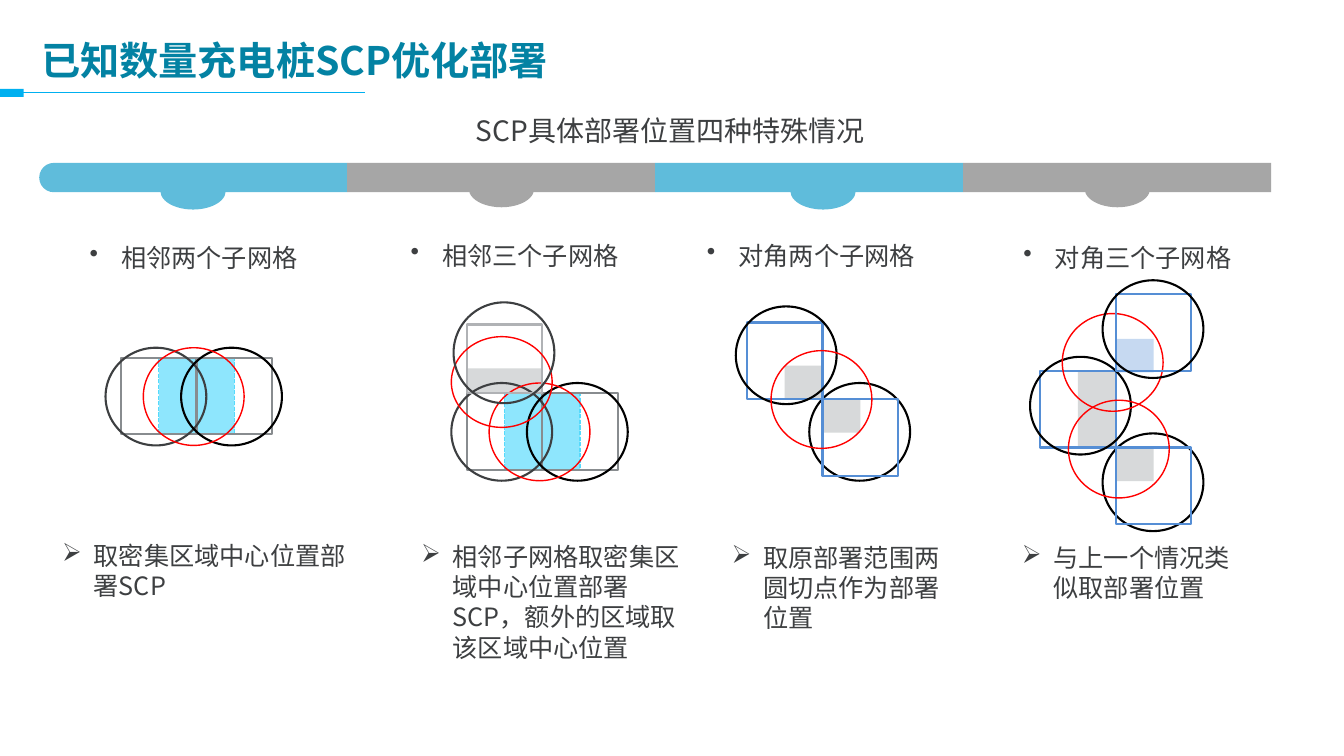
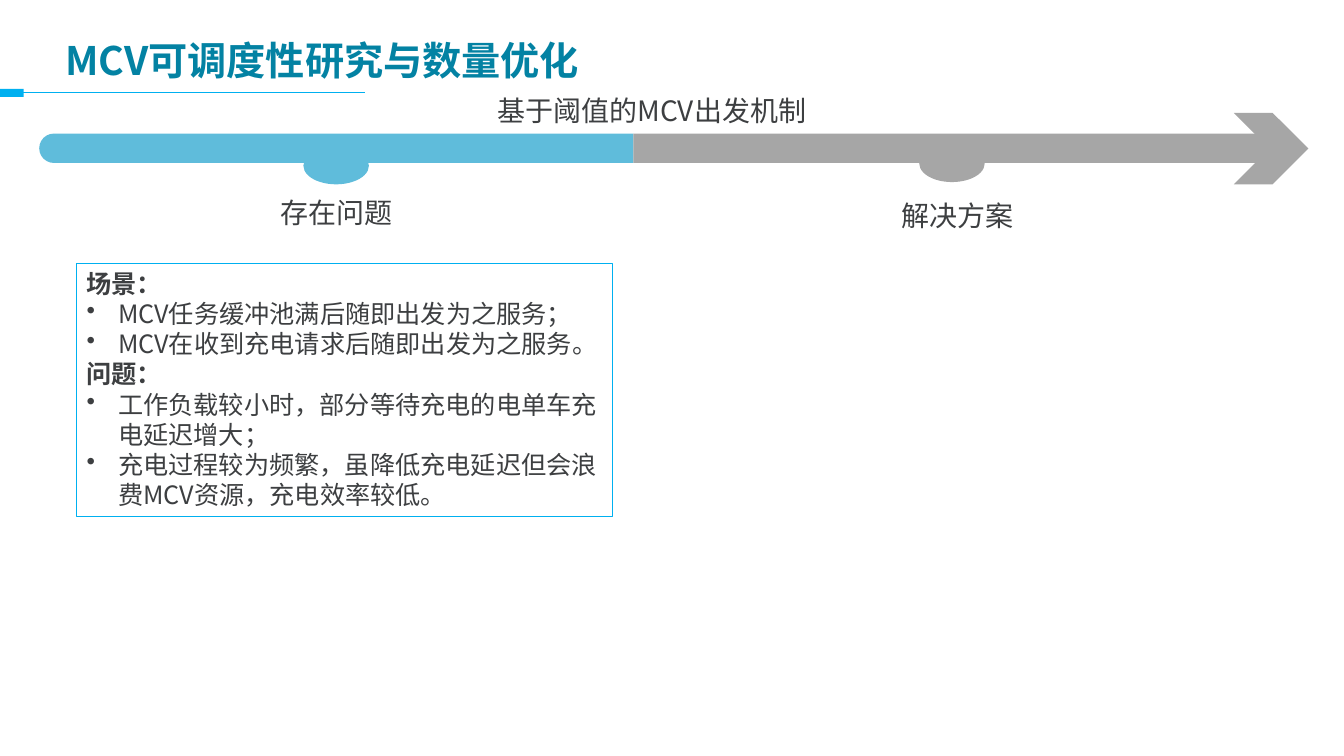
from dataclasses import dataclass
from typing import Any, NamedTuple

import lxml.etree
import pptx
import pptx.dml.color
import pptx.enum.dml
import pptx.enum.shapes
import pptx.enum.text
import pptx.oxml.ns
import pptx.util

Pt = pptx.util.Pt
qn = pptx.oxml.ns.qn
ShapeKind = pptx.enum.shapes.MSO_SHAPE
Align = pptx.enum.text.PP_ALIGN
Anchor = pptx.enum.text.MSO_ANCHOR
AutoSize = pptx.enum.text.MSO_AUTO_SIZE


@dataclass(frozen=True)
class Theme:
    font: str = "Noto Sans CJK SC"
    title: str = "0382A3"
    text: str = "3D3F41"
    accent: str = "00B0F0"
    blue: str = "5FBCDB"
    gray: str = "A6A6A6"
    title_size: float = 28
    heading_size: float = 20
    body_size: float = 18
    bullet_indent: float = 22.5


THEME = Theme()


class Box(NamedTuple):
    left: float
    top: float
    width: float
    height: float


class Style(NamedTuple):
    fill: str | None = None
    line: str | None = None
    weight: float = 1.5
    dash: Any = None


class Line(NamedTuple):
    text: str
    bullet: str = ""
    bold: bool = False
    align: Any = Align.LEFT


class Figure(NamedTuple):
    kind: Any
    box: Box
    style: Style


class Segment(NamedTuple):
    left: float
    right: float
    knob_left: float
    color: str


class Case(NamedTuple):
    heading: str
    heading_box: Box
    note: str
    note_box: Box
    origin: tuple[float, float]
    figures: list[Figure]


DENSE = Style("8EE6FD", "55DAFC", 1, pptx.enum.dml.MSO_LINE.SQUARE_DOT)
SHADED = Style("D7D9DA")
PALE_BLUE = Style("C6D9F1")
GRAY_LINE = Style(line="888C8F")
LIGHT_LINE = Style(line="B0B2B5")
BLUE_LINE = Style(line="558ED5")
DARK_LINE = Style(line=THEME.text)
BLACK_LINE = Style(line="000000")
RED_LINE = Style(line="FF0000", weight=1)

CELL_WIDTH, CELL_HEIGHT = 54, 54.7
HALF_CELL = CELL_WIDTH / 2
CORNER_HEIGHT = 24
CIRCLE_WIDTH, CIRCLE_HEIGHT = 72, 69.8
BAR_LEFT, BAR_HEIGHT = 28, 21
KNOB_WIDTH, KNOB_HEIGHT = 46.8, 26.6


def cell(left: float, top: float, style: Style,
         width: float = CELL_WIDTH, height: float = CELL_HEIGHT) -> Figure:
    return Figure(ShapeKind.RECTANGLE, Box(left, top, width, height), style)


def corner(left: float, top: float, style: Style) -> Figure:
    return cell(left, top, style, HALF_CELL, CORNER_HEIGHT)


def circle(left: float, top: float, style: Style,
           height: float = CIRCLE_HEIGHT) -> Figure:
    return Figure(ShapeKind.OVAL, Box(left, top, CIRCLE_WIDTH, height), style)


ADJACENT_PAIR = [
    cell(HALF_CELL, 0, DENSE),
    cell(0, 0, GRAY_LINE),
    cell(CELL_WIDTH, 0, GRAY_LINE),
    circle(-11, -7.2, DARK_LINE),
    circle(CELL_WIDTH - 11, -7.2, BLACK_LINE),
    circle(HALF_CELL - 11, -7.2, RED_LINE),
]
ADJACENT_TRIPLE = [
    cell(0, -17.6, SHADED, height=18),
    *ADJACENT_PAIR,
    cell(0, -49, LIGHT_LINE, height=49),
    circle(-11, -40.3, RED_LINE, 64.8),
    circle(-9.4, -64.8, DARK_LINE, 72),
]
DIAGONAL_PAIR = [
    circle(-9.4, -11.5, BLACK_LINE),
    corner(0, 0, SHADED),
    corner(-HALF_CELL, -CORNER_HEIGHT, SHADED),
    cell(-CELL_WIDTH, -CELL_HEIGHT, BLUE_LINE),
    cell(0, 0, BLUE_LINE),
    circle(-61.9, -66.2, BLACK_LINE),
    circle(-36.7, -34.6, RED_LINE),
]
DIAGONAL_TRIPLE = [
    corner(0, -23, PALE_BLUE),
    circle(-9.4, 44.6, BLACK_LINE),
    corner(0, CELL_HEIGHT, SHADED),
    cell(-HALF_CELL, 0, SHADED, width=HALF_CELL),
    cell(-CELL_WIDTH, 0, BLUE_LINE),
    cell(0, CELL_HEIGHT, BLUE_LINE),
    circle(-61.2, -10.1, BLACK_LINE),
    circle(-38.2, -41, RED_LINE),
    cell(0, -CELL_HEIGHT, BLUE_LINE),
    circle(-9.4, -64.8, BLACK_LINE),
    circle(-33.8, 20.9, RED_LINE),
]

CASES = [
    Case("相邻两个子网格", Box(38.2, 169.2, 200.2, 29),
         "取密集区域中心位置部署SCP", Box(37.4, 382.3, 218.9, 51),
         (86.4, 255.6), ADJACENT_PAIR),
    Case("相邻三个子网格", Box(267.1, 167.8, 200.9, 29),
         "相邻子网格取密集区域中心位置部署SCP，额外的区域取该区域中心位置",
         Box(293.8, 383, 211.7, 94.3), (333.4, 280.8), ADJACENT_TRIPLE),
    Case("对角两个子网格", Box(494.6, 167.8, 169.2, 29),
         "取原部署范围两圆切点作为部署位置", Box(515.5, 383.8, 170.6, 72.7),
         (587.5, 285.1), DIAGONAL_PAIR),
    Case("对角三个子网格", Box(717.8, 169.2, 175, 29),
         "与上一个情况类似取部署位置", Box(722.9, 383.8, 170.6, 51),
         (797, 265), DIAGONAL_TRIPLE),
]


def rgb(color: str) -> pptx.dml.color.RGBColor:
    return pptx.dml.color.RGBColor.from_string(color)


def set_values(target: Any, values: dict[str, Any]) -> None:
    for name, value in values.items():
        setattr(target, name, value)


def place(box: Box) -> dict[str, Any]:
    return {name: Pt(value) for name, value in box._asdict().items()}


def draw_shape(shapes: Any, kind: Any, box: Box, style: Style) -> Any:
    shape = shapes.add_shape(kind, *place(box).values())
    shape.shadow.inherit = False
    if style.fill:
        shape.fill.solid()
        shape.fill.fore_color.rgb = rgb(style.fill)
    else:
        shape.fill.background()
    if style.line:
        shape.line.color.rgb = rgb(style.line)
        set_values(shape.line, {"width": Pt(style.weight), "dash_style": style.dash})
    else:
        shape.line.fill.background()
    return shape


def add_bullet(paragraph: Any, symbol: str) -> None:
    properties = paragraph._p.get_or_add_pPr()
    indent = Pt(THEME.bullet_indent)
    properties.set("marL", str(indent))
    properties.set("indent", str(-indent))
    lxml.etree.SubElement(properties, qn("a:buChar")).set("char", symbol)


def write(shape: Any, lines: list[Line], size: float, color: str = THEME.text,
          anchor: Any = Anchor.TOP, auto_size: Any = AutoSize.SHAPE_TO_FIT_TEXT) -> None:
    frame = shape.text_frame
    set_values(frame, {"word_wrap": True, "auto_size": auto_size,
                       "vertical_anchor": anchor})
    for index, line in enumerate(lines):
        paragraph = frame.add_paragraph() if index else frame.paragraphs[0]
        paragraph.alignment = line.align
        if line.bullet:
            add_bullet(paragraph, line.bullet)
        run = paragraph.add_run()
        run.text = line.text
        run.font.color.rgb = rgb(color)
        set_values(run.font, {"name": THEME.font, "size": Pt(size), "bold": line.bold})
        east_asian = lxml.etree.SubElement(run._r.get_or_add_rPr(), qn("a:ea"))
        east_asian.set("typeface", THEME.font)


def draw_text(slide: Any, box: Box, line: Line, size: float) -> None:
    write(slide.shapes.add_textbox(*place(box).values()), [line], size)


def draw_heading(slide: Any, text: str, box: Box) -> None:
    draw_text(slide, box, Line(text, align=Align.CENTER), THEME.heading_size)


def add_titled_slide(presentation: Any, text: str, box: Box) -> Any:
    slide = presentation.slides.add_slide(presentation.slide_layouts[5])
    rule = slide.shapes.add_connector(
        pptx.enum.shapes.MSO_CONNECTOR.STRAIGHT, Pt(260.6), Pt(66.4), Pt(16.6), Pt(66.4))
    rule.line.color.rgb = rgb(THEME.accent)
    rule.line.width = Pt(0.75)
    lxml.etree.SubElement(rule._element.spPr, qn("a:effectLst"))
    draw_shape(slide.shapes, ShapeKind.RECTANGLE, Box(0, 63.4, 17, 5.8), Style(THEME.accent))
    title = slide.shapes.title
    set_values(title, place(box))
    write(title, [Line(text, bold=True)], THEME.title_size, THEME.title,
          Anchor.MIDDLE, AutoSize.NONE)
    return slide


def draw_band(slide: Any, top: float, segments: list[Segment], knob_drop: float) -> None:
    group = slide.shapes.add_group_shape()
    for index, segment in enumerate(segments):
        style = Style(segment.color)
        width = segment.right - segment.left
        if index:
            draw_shape(group.shapes, ShapeKind.RECTANGLE,
                       Box(segment.left, top, width, BAR_HEIGHT), style)
        else:
            upright = Box(segment.left + (width - BAR_HEIGHT) / 2,
                          top - (width - BAR_HEIGHT) / 2, BAR_HEIGHT, width)
            bar = draw_shape(group.shapes, ShapeKind.ROUND_2_SAME_RECTANGLE, upright, style)
            bar.rotation = 270
            bar.adjustments[0] = 0.5
        raised = 1.6 if segment.color == THEME.gray else 0
        draw_shape(group.shapes, ShapeKind.OVAL,
                   Box(segment.knob_left, top + knob_drop - raised, KNOB_WIDTH, KNOB_HEIGHT),
                   style)


def draw_case(slide: Any, case: Case) -> None:
    draw_text(slide, case.heading_box, Line(case.heading, "•", align=Align.CENTER),
              THEME.body_size)
    group = slide.shapes.add_group_shape()
    left, top = case.origin
    for kind, box, style in case.figures:
        moved = box._replace(left=left + box.left, top=top + box.top)
        draw_shape(group.shapes, kind, moved, style)
    draw_text(slide, case.note_box, Line(case.note, "➢"), THEME.body_size)


def build_deployment_slide(presentation: Any) -> None:
    slide = add_titled_slide(presentation, "已知数量充电桩SCP优化部署", Box(22.3, 22.3, 864, 41))
    width = 220
    segments = [
        Segment(BAR_LEFT + index * width, BAR_LEFT + (index + 1) * width, knob_left,
                (THEME.blue, THEME.gray)[index % 2])
        for index, knob_left in enumerate((114.5, 334.8, 564.5, 774.7))
    ]
    draw_band(slide, 116.3, segments, 6.8)
    draw_heading(slide, "SCP具体部署位置四种特殊情况", Box(307.4, 77.8, 342.7, 31.5))
    for case in CASES:
        draw_case(slide, case)


def build_dispatch_slide(presentation: Any) -> None:
    slide = add_titled_slide(presentation, "MCV可调度性研究与数量优化", Box(39.6, 20.2, 864, 45.4))
    draw_heading(slide, "基于阈值的MCV出发机制", Box(241.2, 63.4, 448.6, 31.5))
    draw_shape(slide.shapes, ShapeKind.CHEVRON, Box(881.3, 80.6, 53.3, 51.1), Style(THEME.gray))
    draw_band(slide, 95.4, [Segment(BAR_LEFT, 452.5, 216.7, THEME.blue),
                            Segment(452.5, 908, 656.6, THEME.gray)], 9.7)
    draw_heading(slide, "存在问题", Box(129.6, 136.1, 221.8, 31.5))
    draw_heading(slide, "解决方案", Box(573.1, 138.2, 221.8, 31.5))
    problems = draw_shape(slide.shapes, ShapeKind.RECTANGLE, Box(54.7, 187.9, 383, 181.4),
                          Style(line=THEME.accent, weight=0.75))
    write(problems, [
        Line("场景：", bold=True),
        Line("MCV任务缓冲池满后随即出发为之服务；", "•"),
        Line("MCV在收到充电请求后随即出发为之服务。", "•"),
        Line("问题：", bold=True),
        Line("工作负载较小时，部分等待充电的电单车充电延迟增大；", "•"),
        Line("充电过程较为频繁，虽降低充电延迟但会浪费MCV资源，充电效率较低。", "•"),
    ], THEME.body_size)


def main() -> None:
    presentation = pptx.Presentation()
    set_values(presentation, {"slide_width": Pt(960), "slide_height": Pt(540)})
    build_deployment_slide(presentation)
    build_dispatch_slide(presentation)
    presentation.save("out.pptx")


if __name__ == "__main__":
    main()
